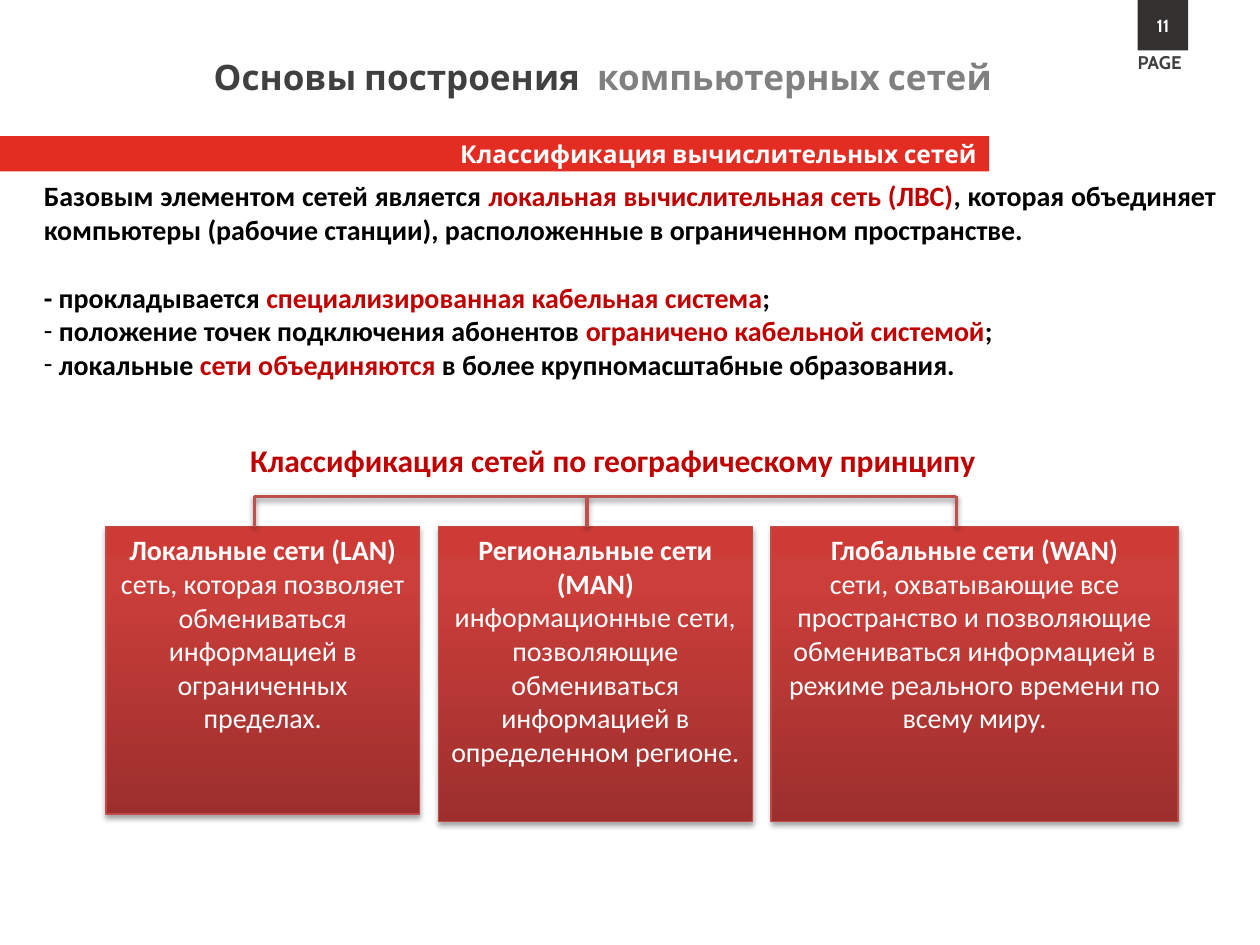
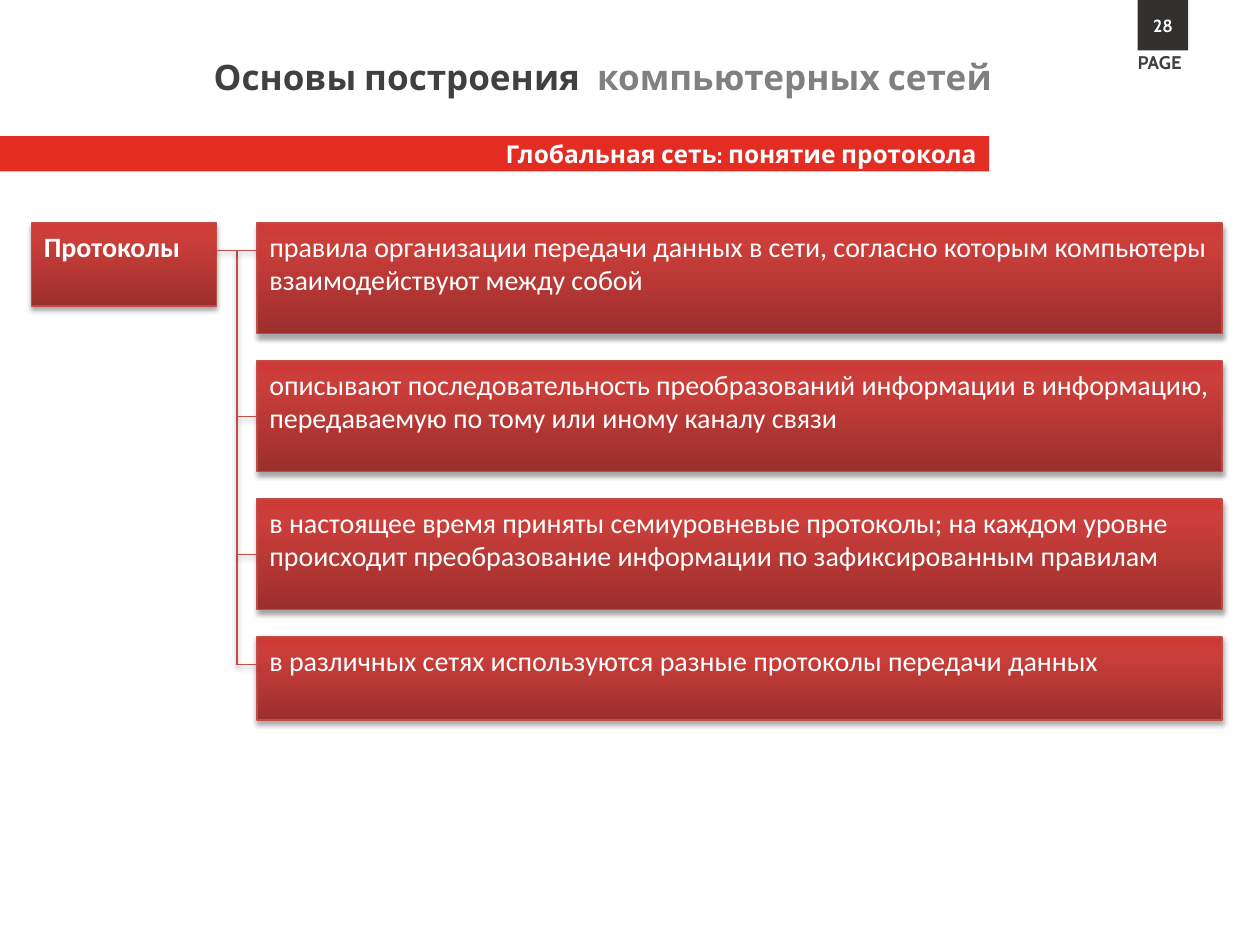
from typing import NamedTuple

from lxml.etree import SubElement
from pptx import Presentation
from pptx.dml.color import RGBColor
from pptx.enum.shapes import MSO_CONNECTOR, MSO_SHAPE
from pptx.enum.text import MSO_ANCHOR, PP_ALIGN
from pptx.oxml.ns import qn
from pptx.util import Inches, Pt

WIDTH, HEIGHT = Inches(10), Inches(7.5)
COLUMN, ROW = WIDTH / 100, HEIGHT / 75

WHITE = RGBColor(0xFF, 0xFF, 0xFF)
BLACK = RGBColor(0x00, 0x00, 0x00)
BAND_RED = RGBColor(0xE3, 0x2C, 0x22)
ACCENT_RED = RGBColor(0xC0, 0x00, 0x00)
CHARCOAL = RGBColor(0x33, 0x30, 0x30)
DARK_GREY = RGBColor(0x40, 0x40, 0x40)
MID_GREY = RGBColor(0x80, 0x80, 0x80)
CARD_EDGE = RGBColor(0xBF, 0x4C, 0x48)
TREE_LINE = RGBColor(0xC0, 0x50, 0x4D)
CARD_STOPS = (
    (0, RGBColor(0x9C, 0x2F, 0x2D)),
    (80, RGBColor(0xCB, 0x3E, 0x3A)),
    (100, RGBColor(0xCE, 0x3B, 0x37)),
)

HEADING = {"name": "Cabin", "size": Pt(20), "bold": True, "color": DARK_GREY}
TOPIC = {**HEADING, "size": Pt(14), "color": WHITE}
PAGE_WORD = {**HEADING, "size": Pt(10.5)}
PAGE_NUMBER = {**TOPIC, "size": Pt(10)}
BODY = {"name": "Calibri", "size": Pt(16), "bold": True, "color": BLACK}
KEY = {**BODY, "color": ACCENT_RED}
TREE_HEADING = {**KEY, "size": Pt(18)}
CARD_TITLE = {**BODY, "color": WHITE}
CARD_TEXT = {**CARD_TITLE, "bold": False}

INTRO = (
    (("Базовым элементом сетей является ", BODY),
     ("локальная вычислительная сеть (ЛВС)", KEY),
     (", которая объединяет компьютеры (рабочие станции), "
      "расположенные в ограниченном пространстве.", BODY)),
    (("- прокладывается ", BODY),
     ("специализированная кабельная система", KEY), (";", BODY)),
    (("положение точек подключения абонентов ", BODY),
     ("ограничено кабельной системой", KEY), (";", BODY)),
    (("локальные ", BODY), ("сети объединяются ", KEY),
     ("в более крупномасштабные образования.", BODY)),
)
NETWORKS = (
    ("Локальные сети (LAN)",
     "сеть, которая позволяет обмениваться информацией в ограниченных пределах.",
     24.9, 22.8, 11.8),
    ("Региональные сети (MAN)",
     "информационные сети, позволяющие обмениваться информацией "
     "в определенном регионе.",
     24.9, 23.4, 11.8),
    ("Глобальные сети (WAN)",
     "сети, охватывающие все пространство и позволяющие обмениваться "
     "информацией в режиме реального времени по всему миру.",
     32.3, 23.4, 14.7),
)
PROTOCOL_RULES = (
    ("правила организации передачи данных в сети, согласно которым "
     "компьютеры взаимодействуют между собой", 8.8, 2.2),
    ("описывают последовательность преобразований информации в информацию, "
     "передаваемую по тому или иному каналу связи", 8.8, 4.4),
    ("в настоящее время приняты семиуровневые протоколы; на каждом уровне "
     "происходит преобразование информации по зафиксированным правилам", 8.8, 4.4),
    ("в различных сетях используются разные протоколы передачи данных", 6.6, 2.2),
)


class Box(NamedTuple):
    """A rectangle in grid columns and rows."""
    left: float
    top: float
    width: float
    height: float

    def inner(self, left, top, width, height):
        """Return a box placed relative to this one."""
        return Box(self.left + left, self.top + top, width, height)

    def lengths(self):
        """Return left, top, width and height in slide units."""
        scales = (COLUMN, ROW, COLUMN, ROW)
        return [round(value * scale) for value, scale in zip(self, scales)]


def write(holder, paragraphs, align=PP_ALIGN.LEFT, anchor=MSO_ANCHOR.TOP, wrap=True):
    """Fill a shape with paragraphs of (text, format) runs."""
    frame = holder.text_frame
    frame.word_wrap, frame.vertical_anchor = wrap, anchor
    for index, runs in enumerate(paragraphs):
        paragraph = frame.add_paragraph() if index else frame.paragraphs[0]
        paragraph.alignment = align
        for text, style in runs:
            run = paragraph.add_run()
            run.text = text
            for attribute, value in style.items():
                if attribute == "color":
                    run.font.color.rgb = value
                else:
                    setattr(run.font, attribute, value)
    return frame


def add_text(slide, box, paragraphs, **layout):
    """Add a text box."""
    return write(slide.shapes.add_textbox(*box.lengths()), paragraphs, **layout)


def add_block(slide, box, color, paragraphs, align):
    """Add a plain rectangle with centred-height text."""
    block = slide.shapes.add_shape(MSO_SHAPE.RECTANGLE, *box.lengths())
    block.shadow.inherit = False
    block.fill.solid()
    block.fill.fore_color.rgb = color
    block.line.fill.background()
    write(block, paragraphs, align, MSO_ANCHOR.MIDDLE)


def add_color(parent, color):
    """Append an RGB colour element."""
    return SubElement(parent, qn("a:srgbClr"), val=str(color))


def cast_shadow(properties, opacity, distance):
    """Append a soft shadow that falls straight down."""
    for effects in properties.findall(qn("a:effectLst")):
        properties.remove(effects)
    effects = SubElement(properties, qn("a:effectLst"))
    shadow = SubElement(effects, qn("a:outerShdw"), blurRad=str(Pt(3.1)),
                        dist=str(Pt(distance)), dir="5400000", rotWithShape="0")
    SubElement(add_color(shadow, BLACK), qn("a:alpha"), val=str(opacity * 1000))


def add_card(slide, box, paragraphs, align=PP_ALIGN.LEFT):
    """Add a red gradient card with text."""
    card = slide.shapes.add_shape(MSO_SHAPE.RECTANGLE, *box.lengths())
    card.fill.gradient()
    card.fill.gradient_angle = 90
    stops = card.element.spPr.find(".//" + qn("a:gsLst"))
    for stop in list(stops):
        stops.remove(stop)
    for position, color in CARD_STOPS:
        add_color(SubElement(stops, qn("a:gs"), pos=str(position * 1000)), color)
    card.line.color.rgb = CARD_EDGE
    card.line.width = Pt(0.75)
    cast_shadow(card.element.spPr, 35, 1.8)
    write(card, paragraphs, align)


def add_line(slide, box, color, weight, opacity, distance):
    """Add a shadowed straight line across a flat box."""
    left, top, width, height = box.lengths()
    line = slide.shapes.add_connector(
        MSO_CONNECTOR.STRAIGHT, left, top, left + width, top + height)
    line.line.color.rgb = color
    line.line.width = Pt(weight)
    cast_shadow(line.element.spPr, opacity, distance)


def add_header(slide, box, topic, page):
    """Place the topic band, page mark and course title."""
    add_block(slide, box.inner(0, 10.8, 78.5, 2.8), BAND_RED,
              [[(topic, TOPIC)]], PP_ALIGN.RIGHT)
    add_text(slide, box.inner(89.3, 3.6, 5.9, 2.8), [[("PAGE", PAGE_WORD)]], wrap=False)
    add_block(slide, box.inner(90.3, 0, 4, 4), CHARCOAL,
              [[(page, PAGE_NUMBER)]], PP_ALIGN.CENTER)
    title = add_text(slide, box.inner(1.5, 3.9, 78.2, 4.4),
                     [[("Основы построения", HEADING), (" ", HEADING),
                       ("компьютерных сетей", {**HEADING, "color": MID_GREY})]],
                     align=PP_ALIGN.RIGHT)
    gap = title.paragraphs[0].runs[1]
    gap.font._element.set("spc", "520")


def add_intro(slide, box):
    """Place the definition of a local network and its dashed points."""
    frame = add_text(slide, box, INTRO, align=PP_ALIGN.JUSTIFY)
    frame.paragraphs[1].space_before = Pt(19.5)
    for point in frame.paragraphs[2:]:
        properties = point._p.get_or_add_pPr()
        indent = Inches(0.12)
        properties.set("marL", str(indent))
        properties.set("indent", str(-indent))
        SubElement(properties, qn("a:buFont"), typeface="Calibri")
        SubElement(properties, qn("a:buChar"), char="-")


def add_network_tree(slide, box):
    """Place three network cards under a bracket and a heading."""
    bar_top, cards_top, gap = 4.9, 7.3, 1.5
    left, drops = 0, []
    for name, meaning, width, height, drop in NETWORKS:
        add_card(slide, box.inner(left, cards_top, width, height),
                 [[(name, CARD_TITLE)], [(meaning, CARD_TEXT)]], PP_ALIGN.CENTER)
        drops.append(left + drop)
        left += width + gap
    bracket = [box.inner(drops[0], bar_top, drops[-1] - drops[0], 0)]
    bracket += [box.inner(drop, bar_top, 0, cards_top - bar_top) for drop in drops]
    for segment in bracket:
        add_line(slide, segment, TREE_LINE, 2, 38, 1.6)
    add_text(slide, box.inner(5, 0, 70.5, 4),
             [[("Классификация сетей по географическому принципу", TREE_HEADING)]],
             align=PP_ALIGN.CENTER)


def add_protocol_tree(slide, box):
    """Place the protocol card and the rules that branch from it."""
    root_width, trunk, rules_left, pitch = 14.7, 16.3, 17.9, 10.95
    add_card(slide, box.inner(0, 0, root_width, 6.6), [[("Протоколы", CARD_TITLE)]])
    joints = []
    for index, (rule, height, joint) in enumerate(PROTOCOL_RULES):
        top = index * pitch
        add_card(slide, box.inner(rules_left, top, box.width - rules_left, height),
                 [[(rule, CARD_TEXT)]])
        joints.append(top + joint)
    lines = [box.inner(trunk, joints[0], 0, joints[-1] - joints[0])]
    for index, joint in enumerate(joints):
        start = trunk if index else root_width
        lines.append(box.inner(start, joint, rules_left - start, 0))
    for branch in lines:
        add_line(slide, branch, CARD_EDGE, 0.75, 35, 1.8)


def add_page(deck, topic, page):
    """Add a blank slide with the shared header."""
    slide = deck.slides.add_slide(deck.slide_layouts[6])
    add_header(slide, Box(0, 0, 100, 13.6), topic, page)
    return slide


def main():
    """Build and save the slides."""
    deck = Presentation()
    deck.slide_width, deck.slide_height = WIDTH, HEIGHT
    networks = add_page(deck, "Классификация вычислительных сетей", "11")
    add_intro(networks, Box(2.5, 13.7, 95, 17.2))
    add_network_tree(networks, Box(8.4, 34.5, 85.1, 30.7))
    protocols = add_page(deck, "Глобальная сеть: понятие протокола", "28")
    add_protocol_tree(protocols, Box(2.5, 17.7, 94.5, 39.45))
    deck.save("out.pptx")


if __name__ == "__main__":
    main()
